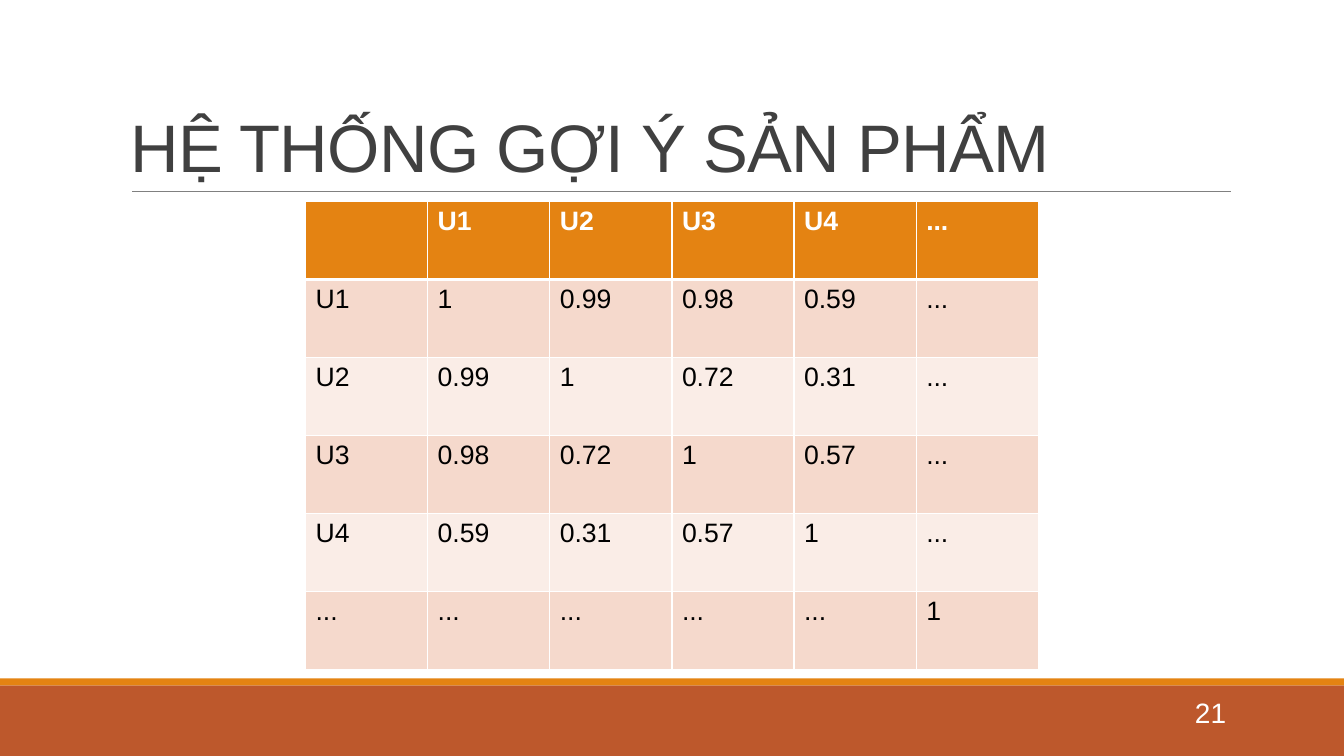
from lxml.etree import SubElement
from pptx import Presentation
from pptx.dml.color import RGBColor
from pptx.enum.shapes import MSO_CONNECTOR, MSO_SHAPE
from pptx.enum.text import MSO_ANCHOR as Anchor, PP_ALIGN as Align
from pptx.oxml.ns import qn
from pptx.util import Inches, Pt

COLORS = {
    "white": "FFFFFF",
    "black": "000000",
    "title": "404040",
    "rule": "808080",
    "orange": "E48312",
    "rust": "BD582C",
    "odd_row": "F5D9CC",
    "even_row": "FAEDE7",
}

SIMILARITY = [
    ["", "U1", "U2", "U3", "U4", "..."],
    ["U1", "1", "0.99", "0.98", "0.59", "..."],
    ["U2", "0.99", "1", "0.72", "0.31", "..."],
    ["U3", "0.98", "0.72", "1", "0.57", "..."],
    ["U4", "0.59", "0.31", "0.57", "1", "..."],
    ["...", "...", "...", "...", "...", "1"],
]


def rgb(color):
    return RGBColor.from_string(COLORS[color])


def write_text(frame, text, size=19, color="black", bold=False, align=Align.LEFT,
               line_spacing=None, tracking=None, font="Arial"):
    """Fill a text frame with one formatted run; tracking is in points."""
    paragraph = frame.paragraphs[0]
    paragraph.alignment = align
    if line_spacing:
        paragraph.line_spacing = line_spacing
    run = paragraph.add_run()
    run.text = text
    run.font.name = font
    run.font.size = Pt(size)
    run.font.bold = bold
    run.font.color.rgb = rgb(color)
    if tracking:
        run.font._element.set("spc", str(round(tracking * 100)))


def set_borders(cell, color="white", **widths):
    """Draw cell edges; widths in points are given by side: L, R, T, B."""
    properties = cell._tc.get_or_add_tcPr()
    for side in "LRTB":
        edge = SubElement(properties, qn(f"a:ln{side}"), w=str(Pt(widths.get(side, 1))))
        fill = SubElement(edge, qn("a:solidFill"))
        SubElement(fill, qn("a:srgbClr"), val=COLORS[color])


class SlideBuilder:
    def __init__(self, slide):
        self.slide = slide
        self.shapes = slide.shapes

    def band(self, left, top, width, height, color):
        band = self.shapes.add_shape(
            MSO_SHAPE.RECTANGLE, Inches(left), Inches(top), Inches(width), Inches(height))
        band.shadow.inherit = False
        band.fill.solid()
        band.fill.fore_color.rgb = rgb(color)
        band.line.fill.background()

    def rule(self, left, right, y, color, weight):
        rule = self.shapes.add_connector(
            MSO_CONNECTOR.STRAIGHT, Inches(left), Inches(y), Inches(right), Inches(y))
        rule.line.color.rgb = rgb(color)
        rule.line.width = Pt(weight)
        SubElement(rule._element.spPr, qn("a:effectLst"))

    def text(self, left, top, width, height, text, anchor, **text_format):
        box = self.shapes.add_textbox(
            Inches(left), Inches(top), Inches(width), Inches(height))
        box.text_frame.word_wrap = True
        box.text_frame.vertical_anchor = anchor
        write_text(box.text_frame, text, **text_format)

    def table(self, left, top, width, height, rows):
        table = self.shapes.add_table(
            len(rows), len(rows[0]),
            Inches(left), Inches(top), Inches(width), Inches(height)).table
        for r, values in enumerate(rows):
            header = r == 0
            row_fill = "orange" if header else "odd_row" if r % 2 else "even_row"
            for c, value in enumerate(values):
                cell = table.cell(r, c)
                set_borders(cell, T=3 if r == 1 else 1, B=3 if header else 1)
                cell.fill.solid()
                cell.fill.fore_color.rgb = rgb(row_fill)
                if value:
                    write_text(cell.text_frame, value, bold=header,
                               color="white" if header else "black")


def main():
    deck = Presentation()
    deck.slide_width, deck.slide_height = Inches(13.33), Inches(7.5)
    builder = SlideBuilder(deck.slides.add_slide(deck.slide_layouts[6]))

    builder.band(0, 6.8, 13.33, 0.7, "rust")
    builder.band(0, 6.73, 13.33, 0.07, "orange")
    builder.rule(1.31, 12.21, 1.9, "rule", 0.5)
    builder.text(1.2, 0.31, 11, 1.59, "HỆ THỐNG GỢI Ý SẢN PHẨM", Anchor.BOTTOM,
                 size=48, color="title", line_spacing=0.85, tracking=-0.5)
    builder.text(10.83, 6.87, 1.43, 0.4, "21", Anchor.MIDDLE,
                 size=20, color="white", align=Align.RIGHT)
    builder.table(3.03, 2, 7.27, 4.64, SIMILARITY)

    deck.save("out.pptx")


if __name__ == "__main__":
    main()
